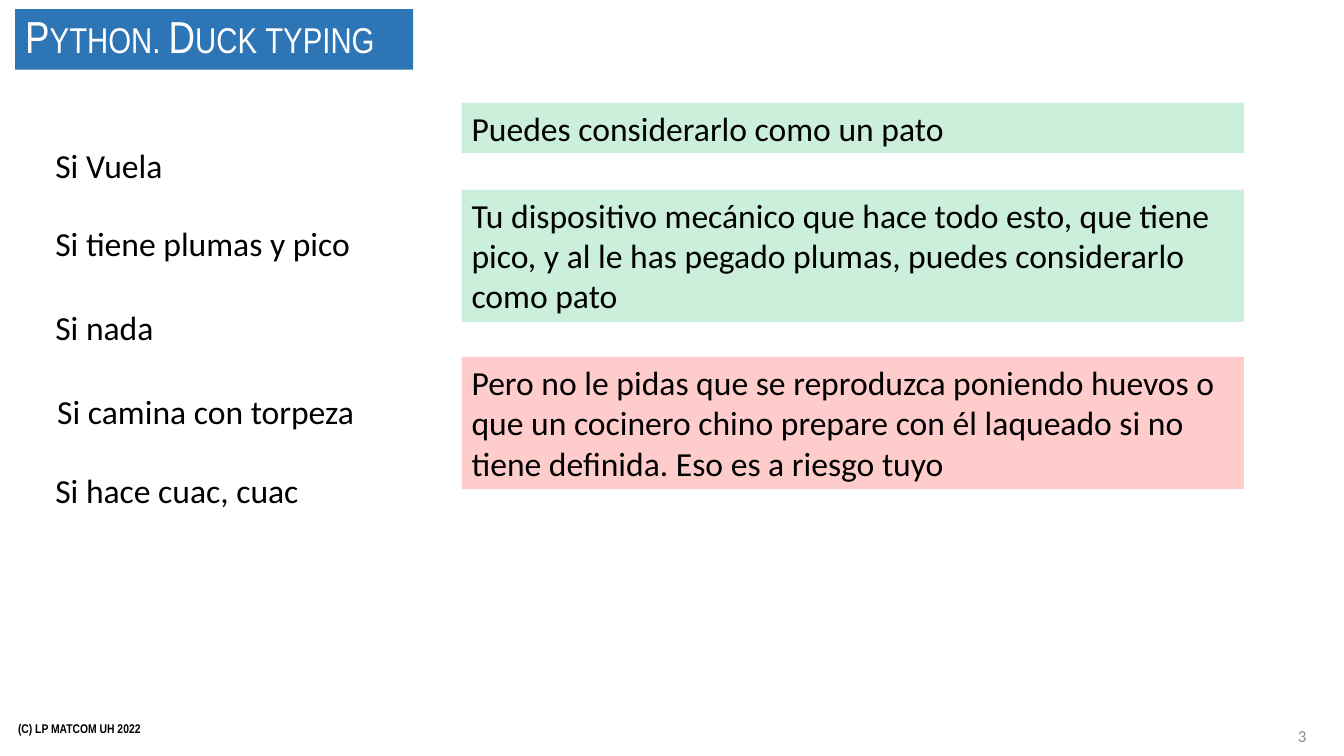
import pptx
import pptx.util
import pptx.dml.color
import pptx.enum.shapes
import pptx.enum.text
import pptx.oxml
import pptx.oxml.ns

Pt = pptx.util.Pt
ALIGN = pptx.enum.text.PP_ALIGN
ANCHOR = pptx.enum.text.MSO_ANCHOR

COLORS = {
    "title": "2E75B6",
    "white": "FFFFFF",
    "black": "000000",
    "gray": "8C8C8C",
    "green": "00B050",
    "red": "FF0000",
}

# (left, top, text)
CONDITIONS = [
    (32.4, 100, "Si Vuela"),
    (32.4, 155.6, "Si tiene plumas y pico"),
    (32.4, 216, "Si nada"),
    (33.8, 276, "Si camina con torpeza"),
    (32.4, 332, "Si hace cuac, cuac"),
]

# (top, height, color, text)
CONCLUSIONS = [
    (73.4, 36, "green", "Puedes considerarlo como un pato"),
    (135.4, 94.5, "green",
     "Tu dispositivo mecánico que hace todo esto, que tiene pico, "
     "y al le has pegado plumas, puedes considerarlo como pato"),
    (255, 94.5, "red",
     "Pero no le pidas que se reproduzca poniendo huevos o que un cocinero "
     "chino prepare con él laqueado si no tiene definida. Eso es a riesgo tuyo"),
]


def rgb(name):
    """Return the named palette color."""
    return pptx.dml.color.RGBColor.from_string(COLORS[name])


def set_text(sp, text, size=24, font="Calibri", color="black", bold=False,
             align=ALIGN.LEFT, anchor=ANCHOR.TOP, small_caps=False, spacing=1.0):
    """Write one formatted paragraph into a shape."""
    tf = sp.text_frame
    tf.word_wrap = True
    tf.auto_size = pptx.enum.text.MSO_AUTO_SIZE.NONE
    tf.vertical_anchor = anchor
    p = tf.paragraphs[0]
    p.alignment = align
    p.line_spacing = spacing
    r = p.add_run()
    r.text = text
    r.font.size = Pt(size)
    r.font.name = font
    r.font.bold = bold
    r.font.color.rgb = rgb(color)
    if small_caps:
        r.font._element.set("cap", "small")


def set_fill(sp, color, opacity=100):
    """Fill a shape with a color at the given opacity percentage."""
    sp.fill.solid()
    sp.fill.fore_color.rgb = rgb(color)
    if opacity < 100:
        clr = sp._element.spPr.find(".//" + pptx.oxml.ns.qn("a:srgbClr"))
        alpha = pptx.oxml.parse_xml(
            f'<a:alpha {pptx.oxml.ns.nsdecls("a")} val="{opacity * 1000}"/>')
        clr.append(alpha)


def add_title(s, text):
    """Place the title banner in the title placeholder."""
    sp = s.shapes.title
    sp.left, sp.top, sp.width, sp.height = Pt(10.8), Pt(6.5), Pt(284.4), Pt(43.2)
    set_fill(sp, "title")
    set_text(sp, text, size=32, font="Arial Narrow", color="white",
             anchor=ANCHOR.MIDDLE, small_caps=True, spacing=0.9)


def add_box(s, left, top, width, height, text, color, opacity):
    """Add a translucent rectangle with text."""
    sp = s.shapes.add_shape(pptx.enum.shapes.MSO_SHAPE.RECTANGLE,
                            Pt(left), Pt(top), Pt(width), Pt(height))
    sp.shadow.inherit = False
    sp.line.fill.background()
    set_fill(sp, color, opacity)
    set_text(sp, text)


def add_label(s, left, top, width, height, text, **fmt):
    """Add a vertically centered text box."""
    sp = s.shapes.add_textbox(Pt(left), Pt(top), Pt(width), Pt(height))
    set_text(sp, text, anchor=ANCHOR.MIDDLE, **fmt)


def main():
    """Build and save the slide."""
    prs = pptx.Presentation()
    prs.slide_width, prs.slide_height = Pt(960), Pt(540)
    s = prs.slides.add_slide(prs.slide_layouts.get_by_name("Title Only"))

    add_label(s, 5.8, 506.2, 324, 28.8, "(C) LP MATCOM UH 2022",
              size=9, font="Arial Narrow", bold=True)
    add_title(s, "Python. Duck typing")
    add_label(s, 724.3, 511.2, 216, 28.8, "3",
              size=12, color="gray", align=ALIGN.RIGHT)
    for left, top, text in CONDITIONS:
        add_box(s, left, top, 234, 36, text, "white", 30)
    for top, height, color, text in CONCLUSIONS:
        add_box(s, 329.8, top, 558.7, height, text, color, 20)

    prs.save("out.pptx")


main()
